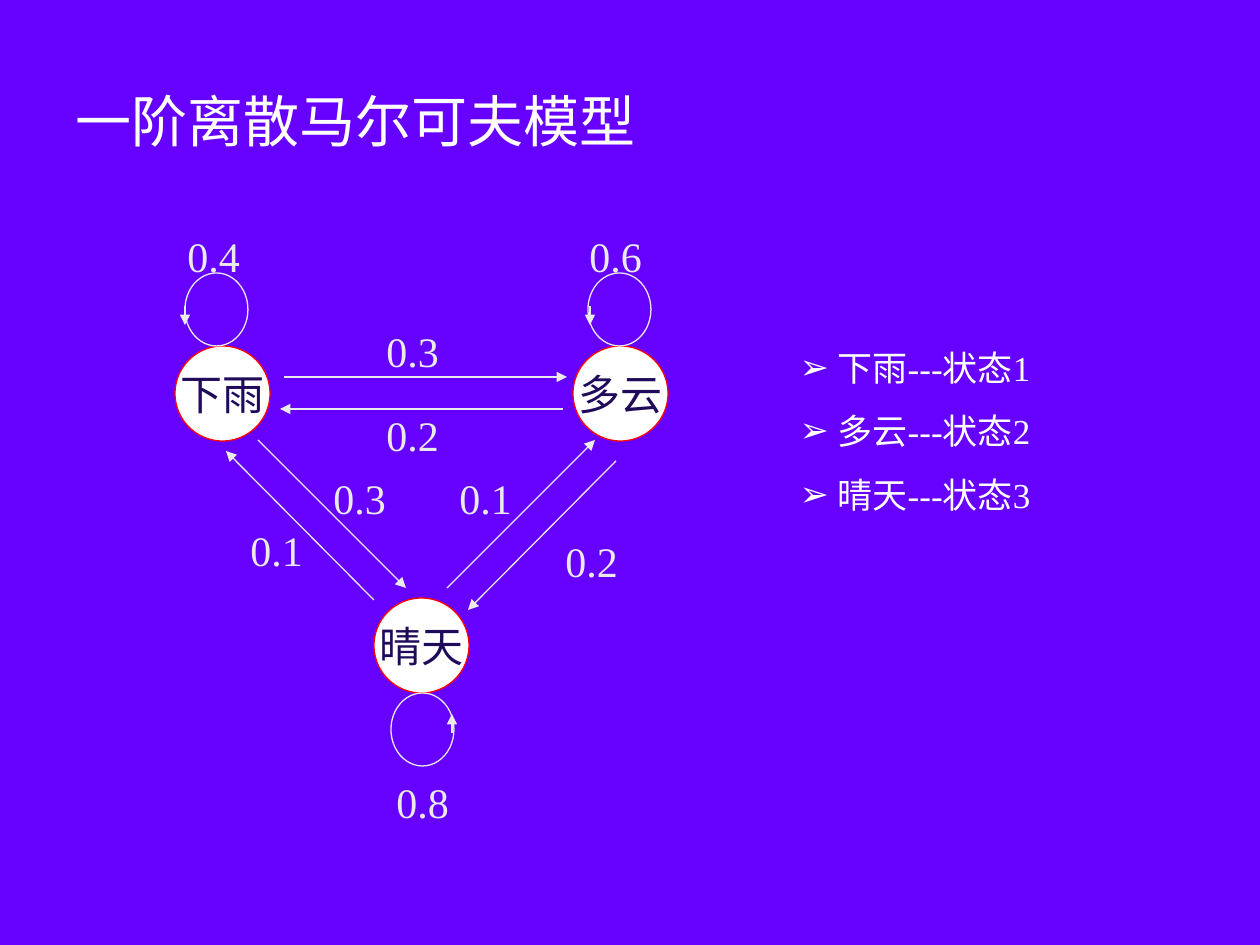
"""Build a slide showing a first-order discrete Markov model of the weather."""
import pptx
import pptx.dml.color
import pptx.enum.shapes
import pptx.enum.text
import pptx.oxml.ns
import pptx.util
from lxml import etree

PX = 7257
WHITE, PALE, RED, NAVY, VIOLET = "FFFFFF", "EAEAEA", "FF0000", "200B5B", "6600FF"
OVAL = pptx.enum.shapes.MSO_SHAPE.OVAL
STRAIGHT = pptx.enum.shapes.MSO_CONNECTOR.STRAIGHT
ALIGN = pptx.enum.text.PP_ALIGN
ANCHOR = pptx.enum.text.MSO_ANCHOR


def paint(fill, color):
    fill.solid()
    fill.fore_color.rgb = pptx.dml.color.RGBColor.from_string(color)


def write(frame, text, size, color, align=ALIGN.LEFT, anchor=ANCHOR.TOP,
          wrap=True, top=6, bottom=6, bullet=None, gap=0):
    frame.auto_size = pptx.enum.text.MSO_AUTO_SIZE.NONE
    frame.word_wrap = wrap
    frame.vertical_anchor = anchor
    frame.margin_top, frame.margin_bottom = top * PX, bottom * PX
    frame.text = text
    for index, paragraph in enumerate(frame.paragraphs):
        paragraph.alignment = align
        paragraph.space_before = pptx.util.Pt(gap if index else 0)
        if bullet:
            properties = paragraph._p.get_or_add_pPr()
            properties.set("marL", str(38 * PX))
            properties.set("indent", str(-38 * PX))
            etree.SubElement(properties, pptx.oxml.ns.qn("a:buChar"), char=bullet)
        paragraph.font.size = pptx.util.Pt(size)
        paragraph.font.name = "Times New Roman"
        paint(paragraph.font.fill, color)


deck = pptx.Presentation()
deck.slide_width, deck.slide_height = pptx.util.Inches(10), pptx.util.Inches(7.5)
slide = deck.slides.add_slide(deck.slide_layouts[1])
paint(slide.background.fill, VIOLET)

heading = slide.shapes.title
heading.left, heading.top, heading.width, heading.height = 63 * PX, 73 * PX, 1134 * PX, 158 * PX
write(heading.text_frame, "一阶离散马尔可夫模型", 32, WHITE, anchor=ANCHOR.MIDDLE, bottom=70)

legend = slide.placeholders[1]
legend.left, legend.top, legend.width, legend.height = 787 * PX, 336 * PX, 357 * PX, 183 * PX
write(legend.text_frame, "下雨---状态1\n多云---状态2\n晴天---状态3", 20, WHITE,
      top=10, bullet="➢", gap=12.5)

states = [("下雨", 175, 346), ("多云", 573, 346), ("晴天", 374, 598)]
for weather, left, top in states:
    state = slide.shapes.add_shape(OVAL, left * PX, top * PX, 95 * PX, 95 * PX)
    state.shadow.inherit = False
    paint(state.fill, WHITE)
    paint(state.line.fill, RED)
    state.line.width = pptx.util.Pt(0.75)
    write(state.text_frame, weather, 24, NAVY, align=ALIGN.CENTER,
          anchor=ANCHOR.MIDDLE, wrap=False)

for left, top in [(185, 273), (588, 273), (391, 693)]:
    self_loop = slide.shapes.add_shape(OVAL, left * PX, top * PX, 63 * PX, 73 * PX)
    self_loop.shadow.inherit = False
    self_loop.fill.background()
    paint(self_loop.line.fill, PALE)
    self_loop.line.width = pptx.util.Pt(0.75)

transitions = [
    ("0.3", (374, 315), (284, 377, 567, 377)),
    ("0.2", (374, 399), (563, 409, 280, 409)),
    ("0.3", (321, 462), (258, 440, 406, 588)),
    ("0.1", (238, 514), (374, 600, 226, 451)),
    ("0.1", (447, 462), (447, 588, 595, 440)),
    ("0.2", (553, 525), (616, 461, 468, 610)),
    ("0.4", (175, 220), (185, 306, 185, 325)),
    ("0.6", (577, 220), (590, 306, 590, 325)),
    ("0.8", (384, 766), (452, 733, 452, 714)),
]
for chance, (left, top), ends in transitions:
    arrow = slide.shapes.add_connector(STRAIGHT, *[end * PX for end in ends])
    paint(arrow.line.fill, PALE)
    arrow.line.width = pptx.util.Pt(0.75)
    etree.SubElement(arrow.line._get_or_add_ln(), pptx.oxml.ns.qn("a:tailEnd"), type="triangle")
    etree.SubElement(arrow._element.spPr, pptx.oxml.ns.qn("a:effectLst"))
    probability = slide.shapes.add_textbox(left * PX, top * PX, 147 * PX, 63 * PX)
    write(probability.text_frame, chance, 24, PALE, top=11)

deck.save("out.pptx")
